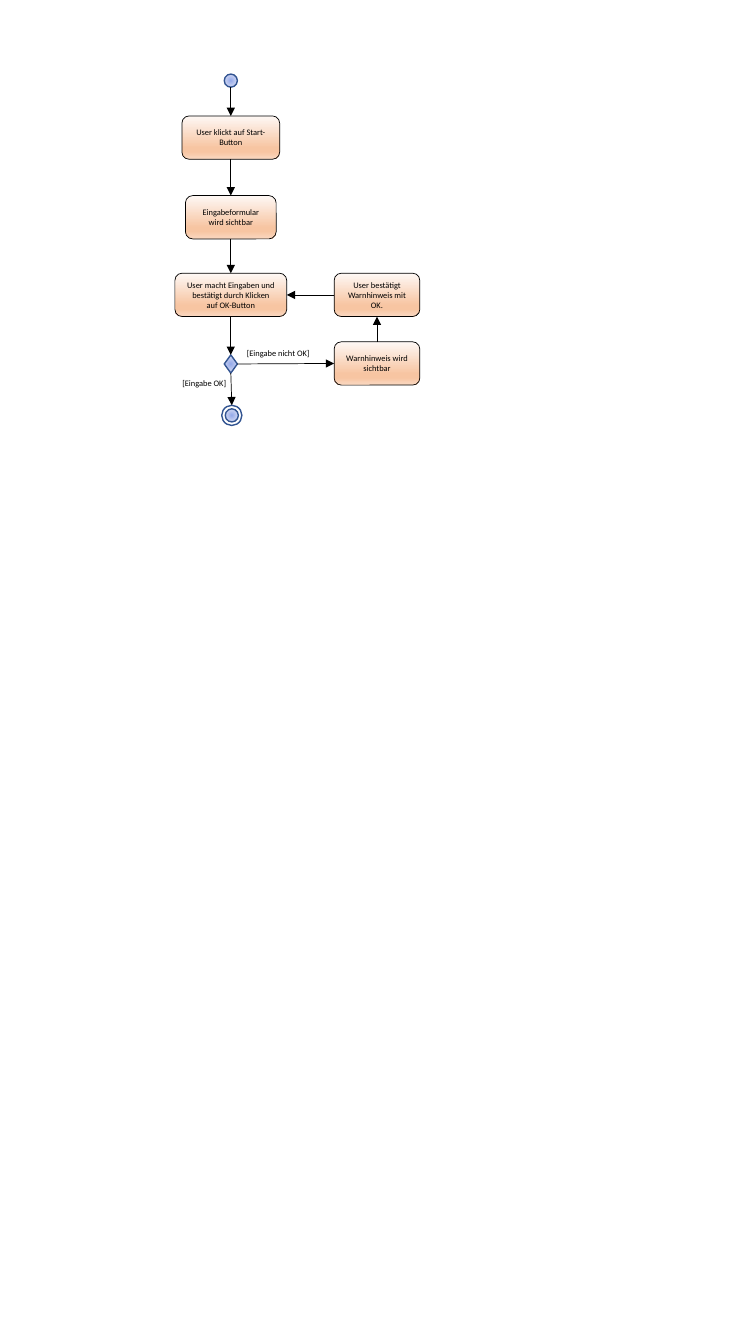
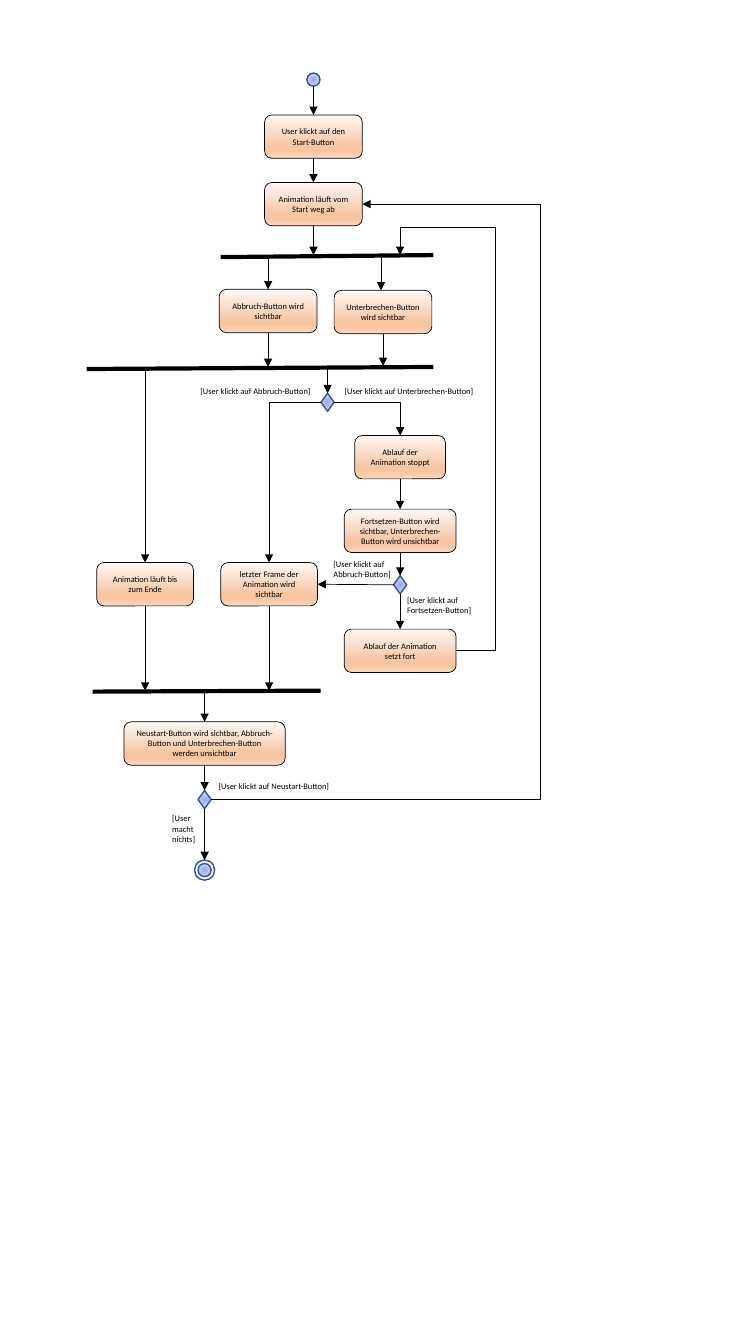
from lxml import etree
from pptx import Presentation
from pptx.dml.color import RGBColor
from pptx.enum.shapes import MSO_CONNECTOR, MSO_SHAPE
from pptx.enum.text import MSO_ANCHOR, MSO_AUTO_SIZE, PP_ALIGN
from pptx.oxml.ns import qn
from pptx.util import Inches, Pt

STRAIGHT, ELBOW = MSO_CONNECTOR.STRAIGHT, MSO_CONNECTOR.ELBOW
OVAL, DIAMOND, ROUNDED = MSO_SHAPE.OVAL, MSO_SHAPE.DIAMOND, MSO_SHAPE.ROUNDED_RECTANGLE
MIDDLE, TOP_ANCHOR = MSO_ANCHOR.MIDDLE, MSO_ANCHOR.TOP
CENTER, LEFT_ALIGN = PP_ALIGN.CENTER, PP_ALIGN.LEFT
GROW, FIXED = MSO_AUTO_SIZE.SHAPE_TO_FIT_TEXT, MSO_AUTO_SIZE.NONE

COLORS = {
    "ink": "000000", "marker_line": "325491",
    "marker_dark": "96ABEA", "marker_mid": "C0CBF0", "marker_light": "E0E5F7",
    "step_light": "FEF8F5", "step_deep": "F7C5A2", "step_end": "FAD8C1",
}
MARKER_STOPS = [(0, "marker_dark"), (50, "marker_mid"), (100, "marker_light")]
STEP_STOPS = [(0, "step_light"), (74, "step_deep"), (83, "step_deep"), (100, "step_end")]
FONT = {"name": "Calibri", "size": Pt(6)}
STEP_FRAME = {"word_wrap": True, "vertical_anchor": MIDDLE, "auto_size": FIXED}
LABEL_FRAME = {"word_wrap": True, "vertical_anchor": TOP_ANCHOR, "auto_size": GROW}
STEP_HEIGHT, DOT_SIZE, RING_SIZE, DECISION_HEIGHT = 0.43, 0.13, 0.2, 0.18
TOP, LEFT, BOTTOM, RIGHT = range(4)

INPUT_FORM = {
    "box": (1.7, 0.7),
    "start": (0.59, 0.1),
    "end": (0.6, 3.42),
    "decisions": {"check": (0.59, 2.91)},
    "steps": {
        "click": (0.59, 0.45, 0.97, "User klickt auf Start-Button"),
        "form": (0.59, 1.24, 0.9, "Eingabeformular wird sichtbar"),
        "entry": (0.59, 2.01, 1.11,
                  "User macht Eingaben und bestätigt durch Klicken auf OK-Button"),
        "warning": (2.04, 2.69, 0.85, "Warnhinweis wird sichtbar"),
        "confirm": (2.04, 2.01, 0.85, "User bestätigt Warnhinweis mit OK."),
    },
    "bars": [],
    "arrows": [
        ("start", "click"), ("click", "form"), ("form", "entry"),
        ("entry", "check"), ("check", "end"),
        ("check", "warning", RIGHT, LEFT),
        ("warning", "confirm", TOP, BOTTOM),
        ("confirm", "entry", LEFT, RIGHT),
    ],
    "elbows": [],
    "labels": [
        (0.65, 2.7, 0.85, 0.2, "[Eingabe nicht OK]"),
        (0.01, 3.0, 0.85, 0.2, "[Eingabe OK]"),
    ],
}

ANIMATION = {
    "box": (0.8, 0.7),
    "start": (2.31, 0.09),
    "end": (1.23, 7.93),
    "decisions": {"choice": (2.45, 3.29), "paused": (3.17, 5.1), "again": (1.23, 7.23)},
    "steps": {
        "click": (2.31, 0.44, 0.97, "User klickt auf den Start-Button"),
        "run": (2.31, 1.11, 0.97, "Animation läuft vom Start weg ab"),
        "abort": (1.86, 2.17, 0.97, "Abbruch-Button wird sichtbar"),
        "interrupt": (3.0, 2.18, 0.97, "Unterbrechen-Button wird sichtbar"),
        "stop": (3.17, 3.62, 0.9, "Ablauf der Animation stoppt"),
        "resume": (3.17, 4.35, 1.11,
                   "Fortsetzen-Button wird sichtbar, Unterbrechen-Button wird unsichtbar"),
        "continue": (3.17, 5.54, 1.11, "Ablauf der Animation setzt fort"),
        "last_frame": (1.87, 4.88, 0.96, "letzter Frame der Animation wird sichtbar"),
        "finish": (0.64, 4.88, 0.96, "Animation läuft bis zum Ende"),
        "restart": (1.23, 6.46, 1.6,
                    "Neustart-Button wird sichtbar, Abbruch-Button und "
                    "Unterbrechen-Button werden unsichtbar"),
    },
    "bars": [
        ((1.39, 1.85), (3.5, 1.83)),
        ((0.06, 2.96), (3.5, 2.94)),
        ((0.12, 6.16), (2.38, 6.15)),
    ],
    "arrows": [
        ("start", "click"), ("click", "run"), ("run", (2.31, 1.83)),
        ((1.86, 1.84), "abort"), ((2.98, 1.85), (2.98, 2.18)),
        ("abort", (1.86, 2.94)), ("interrupt", (3.0, 2.93)),
        ((2.45, 2.95), "choice"), ((0.64, 2.95), "finish"),
        ("stop", "resume"), ("resume", "paused"), ("paused", "continue"),
        ("paused", "last_frame", LEFT, RIGHT),
        ("finish", (0.64, 6.15)), ("last_frame", (1.87, 6.15)),
        ((1.23, 6.16), "restart"), ("restart", "again"), ("again", "end"),
    ],
    "elbows": [
        ("choice", LEFT, "last_frame", TOP, ()),
        ("choice", RIGHT, "stop", TOP, ()),
        ("continue", RIGHT, (3.17, 1.83), TOP, (4.11, 1.55)),
        ("again", RIGHT, "run", RIGHT, (4.56,)),
    ],
    "labels": [
        (2.52, 3.08, 1.49, 0.2, "[User klickt auf Unterbrechen-Button]"),
        (1.09, 3.08, 1.32, 0.2, "[User klickt auf Abbruch-Button]"),
        (2.41, 4.8, 0.8, 0.3, "[User klickt auf Abbruch-Button]"),
        (3.14, 5.15, 0.97, 0.3, "[User klickt auf Fortsetzen-Button]"),
        (1.27, 7.0, 1.33, 0.2, "[User klickt auf Neustart-Button]"),
        (0.81, 7.32, 0.61, 0.4, "[User macht nichts]"),
    ],
}


def color(name):
    return RGBColor.from_string(COLORS[name])


def apply_format(target, values):
    for attribute, value in values.items():
        setattr(target, attribute, value)


def add_element(parent, tag, **attributes):
    element = etree.SubElement(parent, qn(tag))
    for name, value in attributes.items():
        element.set(name, str(value))
    return element


def set_line(shape, name, width):
    shape.line.color.rgb = color(name)
    shape.line.width = Pt(width)


def fill_gradient(shape, stops, radial):
    gradient = add_element(shape.element.spPr, "a:gradFill", rotWithShape=1)
    stop_list = add_element(gradient, "a:gsLst")
    for position, name in stops:
        stop = add_element(stop_list, "a:gs", pos=position * 1000)
        add_element(stop, "a:srgbClr", val=COLORS[name])
    if radial:
        circle = add_element(gradient, "a:path", path="circle")
        add_element(circle, "a:fillToRect", l=50000, t=50000, r=50000, b=50000)
    else:
        add_element(gradient, "a:lin", ang=5400000, scaled=0)


def write(shape, text, frame_format, alignment):
    apply_format(shape.text_frame, frame_format)
    paragraph = shape.text_frame.paragraphs[0]
    paragraph.alignment = alignment
    run = paragraph.add_run()
    run.text = text
    apply_format(run.font, FONT)
    run.font.color.rgb = color("ink")


def add_marker(slide, preset, center, width, height, filled=True):
    x, y = center
    marker = slide.shapes.add_shape(
        preset, Inches(x - width / 2), Inches(y - height / 2), Inches(width), Inches(height))
    if filled:
        fill_gradient(marker, MARKER_STOPS, True)
    else:
        marker.fill.background()
    set_line(marker, "marker_line", 1)
    marker.shadow.inherit = False
    return marker


def add_step(slide, center_x, top, width, text):
    step = slide.shapes.add_shape(
        ROUNDED, Inches(center_x - width / 2), Inches(top), Inches(width), Inches(STEP_HEIGHT))
    fill_gradient(step, STEP_STOPS, False)
    set_line(step, "ink", 0.5)
    step.shadow.inherit = False
    write(step, text, STEP_FRAME, CENTER)
    return step


def add_label(slide, left, top, width, height, text):
    label = slide.shapes.add_textbox(Inches(left), Inches(top), Inches(width), Inches(height))
    write(label, text, LABEL_FRAME, LEFT_ALIGN)


def add_line(slide, kind, begin, end, width=0.5, arrow=True):
    line = slide.shapes.add_connector(kind, *begin, *end)
    set_line(line, "ink", width)
    properties = line.element.spPr
    if arrow:
        add_element(properties.find(qn("a:ln")), "a:tailEnd", type="triangle")
    add_element(properties, "a:effectLst")
    return line


def side_point(shape, side):
    center_x, center_y = shape.left + shape.width // 2, shape.top + shape.height // 2
    return {
        TOP: (center_x, shape.top),
        LEFT: (shape.left, center_y),
        BOTTOM: (center_x, shape.top + shape.height),
        RIGHT: (shape.left + shape.width, center_y),
    }[side]


def bend(line, begin, end, bends):
    geometry = line.element.spPr.find(qn("a:prstGeom"))
    geometry.set("prst", f"bentConnector{len(bends) + 2}")
    adjustments = geometry.find(qn("a:avLst"))
    if adjustments is None:
        adjustments = add_element(geometry, "a:avLst")
    for number, (bend_at, first, last) in enumerate(zip(bends, begin, end), 1):
        share = round((bend_at - first) / (last - first) * 100000)
        add_element(adjustments, "a:gd", name=f"adj{number}", fmla=f"val {share}")


def draw_diagram(slide, diagram):
    left, top = diagram["box"]

    def place(point):
        return left + point[0], top + point[1]

    def measure(point):
        return tuple(Inches(length) for length in place(point))

    def endpoint(place_or_name, side):
        if isinstance(place_or_name, str):
            return side_point(nodes[place_or_name], side)
        return measure(place_or_name)

    end_center = place(diagram["end"])
    add_marker(slide, OVAL, end_center, DOT_SIZE, DOT_SIZE)
    nodes = {
        "start": add_marker(slide, OVAL, place(diagram["start"]), DOT_SIZE, DOT_SIZE),
        "end": add_marker(slide, OVAL, end_center, RING_SIZE, RING_SIZE, filled=False),
    }
    for name, center in diagram["decisions"].items():
        nodes[name] = add_marker(slide, DIAMOND, place(center), DOT_SIZE, DECISION_HEIGHT)
    for name, (x, y, width, text) in diagram["steps"].items():
        nodes[name] = add_step(slide, left + x, top + y, width, text)
    for begin, end in diagram["bars"]:
        add_line(slide, STRAIGHT, measure(begin), measure(end), width=3, arrow=False)
    for source, target, *sides in diagram["arrows"]:
        leaving, entering = sides or (BOTTOM, TOP)
        arrow = add_line(slide, STRAIGHT, endpoint(source, leaving), endpoint(target, entering))
        if source in nodes and source != "start":
            arrow.begin_connect(nodes[source], leaving)
        if target in nodes:
            arrow.end_connect(nodes[target], entering)
    for source, leaving, target, entering, bends in diagram["elbows"]:
        begin, end = endpoint(source, leaving), endpoint(target, entering)
        elbow = add_line(slide, ELBOW, begin, end)
        origin = diagram["box"]
        bend(elbow, begin, end, [Inches(edge + at) for edge, at in zip(origin, bends)])
    for x, y, width, height, text in diagram["labels"]:
        add_label(slide, left + x, top + y, width, height, text)


def main():
    presentation = Presentation()
    presentation.slide_width, presentation.slide_height = Inches(7.5), Inches(13.33)
    blank = presentation.slide_layouts[6]
    for diagram in (INPUT_FORM, ANIMATION):
        draw_diagram(presentation.slides.add_slide(blank), diagram)
    presentation.save("out.pptx")


if __name__ == "__main__":
    main()
